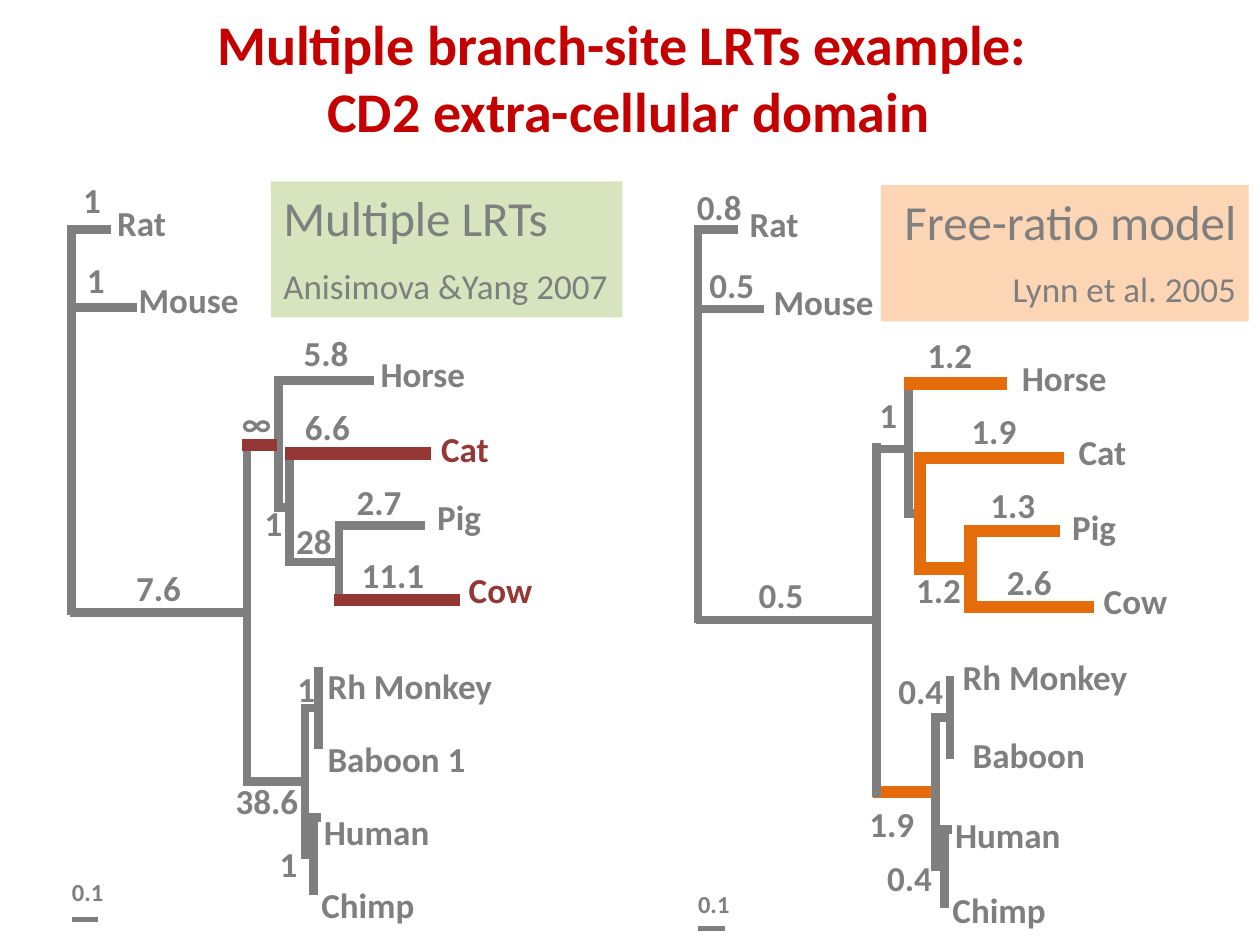
import pptx
import pptx.dml.color
import pptx.enum.shapes
import pptx.enum.text
import pptx.oxml
import pptx.util
from pptx.util import Inches

GRAY, RED, ORANGE = "7F7F7F", "953735", "E46C0A"
ALIGN = pptx.enum.text.PP_ALIGN

BRANCHES = {
    "root": (0, 0, 0, 3.03),
    "Rat": (0, 0, 0.28, 0),
    "Mouse": (0.02, 0.62, 0.48, 0.62),
    "mammals": (0.02, 3.04, 1.39, 3.04),
    "primates": (1.41, 4.38, 1.83, 4.38),
    "mammal split": (1.39, 1.7, 1.39, 4.38),
    "ungulates": (1.4, 1.71, 1.58, 1.71),
    "ungulate split": (1.64, 1.2, 1.64, 2.21),
    "Horse": (1.65, 1.2, 2.36, 1.2),
    "Cat to Cow": (1.64, 2.21, 1.73, 2.21),
    "Cat split": (1.73, 1.78, 1.73, 2.64),
    "Cat": (1.74, 1.78, 2.8, 1.78),
    "Pig to Cow": (1.73, 2.64, 2.12, 2.64),
    "Pig split": (2.12, 2.35, 2.12, 2.94),
    "Pig": (2.12, 2.35, 2.77, 2.35),
    "Cow": (2.13, 2.94, 3.03, 2.94),
    "primate split": (1.85, 3.8, 1.85, 4.96),
    "monkeys": (1.85, 3.8, 1.96, 3.8),
    "monkey split": (1.96, 3.51, 1.96, 4.09),
    "apes": (1.85, 4.96, 1.92, 4.96),
    "ape split": (1.92, 4.67, 1.92, 5.25),
    "Human": (1.92, 4.67, 1.94, 4.67),
}

LRT_TREE = {
    "stretch": 1, "accent": RED, "scale_y": (5.14, 5.48),
    "selected": ["ungulates", "Cat", "Cow"], "accent_species": ["Cat", "Cow"],
    "species": [
        ("Rat", 0.36, -0.22, 0.59), ("Mouse", 0.53, 0.39, 1.16),
        ("Horse", 2.45, 0.98, 1.09), ("Cat", 2.93, 1.57, 0.68),
        ("Pig", 2.9, 2.11, 0.39), ("Cow", 3.15, 2.69, 0.65),
        ("Rh Monkey", 2.03, 3.45, 1.87), ("Baboon 1", 2.03, 4.03, 1.2),
        ("Human", 2, 4.61, 1.22), ("Chimp", 1.98, 5.19, 2.05)],
    "ratios": [
        ("1", 0.09, -0.4), ("1", 0.12, 0.23), ("∞", 1.35, 1.37),
        ("5.8", 1.84, 0.81), ("6.6", 1.85, 1.4), ("1", 1.53, 2.16),
        ("28", 1.78, 2.3), ("2.7", 2.26, 1.99), ("11.1", 2.3, 2.57),
        ("7.6", 0.51, 2.68), ("1", 1.79, 3.48), ("38.6", 1.3, 4.37),
        ("1", 1.65, 4.87)],
}

FREE_RATIO_TREE = {
    "stretch": 1.02, "accent": ORANGE, "scale_y": (5.24, 5.55),
    "selected": ["Horse", "Cat split", "Cat", "Pig to Cow", "Pig split",
                 "Pig", "Cow", "primates"],
    "accent_species": [],
    "species": [
        ("Rat", 0.41, -0.21, 0.39), ("Mouse", 0.6, 0.41, 0.96),
        ("Horse", 2.57, 1.01, 0.72), ("Cat", 3.02, 1.6, 0.45),
        ("Pig", 2.97, 2.19, 0.4), ("Cow", 3.22, 2.78, 0.52),
        ("Rh Monkey", 2.1, 3.38, 1.58), ("Baboon", 2.18, 4, 0.9),
        ("Human", 2.04, 4.64, 1.06), ("Chimp", 2.02, 5.23, 1.07)],
    "ratios": [
        ("0.8", -0.01, -0.35), ("0.5", 0.09, 0.27), ("1", 1.44, 1.3),
        ("1.2", 1.82, 0.83), ("1.9", 2.17, 1.43), ("1.3", 2.32, 2.02),
        ("1.2", 1.73, 2.69), ("2.6", 2.45, 2.63), ("0.5", 0.48, 2.73),
        ("0.4", 1.59, 3.49), ("1.9", 1.36, 4.55), ("0.4", 1.5, 4.98)],
}


def rgb(color):
    """Turn a hex string into a colour."""
    return pptx.dml.color.RGBColor.from_string(color)


def write(paragraph, text, size, color, bold=True):
    """Add one formatted run to a paragraph."""
    run = paragraph.add_run()
    run.text = text
    run.font.name = "Calibri"
    run.font.size = pptx.util.Pt(size)
    run.font.bold = bold
    run.font.color.rgb = rgb(color)


def add_label(slide, text, left, top, width, height=0.34, size=20, color=GRAY, wrap=True):
    """Place a bold label without margins, which fits its text if it does not wrap."""
    box = slide.shapes.add_textbox(Inches(left), Inches(top), Inches(width), Inches(height))
    frame = box.text_frame
    frame.margin_left = frame.margin_right = frame.margin_top = frame.margin_bottom = 0
    frame.word_wrap = wrap
    if not wrap:
        frame.auto_size = pptx.enum.text.MSO_AUTO_SIZE.SHAPE_TO_FIT_TEXT
    write(frame.paragraphs[0], text, size, color)


def add_branch(slide, start_x, start_y, end_x, end_y, color=GRAY, width=5):
    """Draw one straight branch with square ends."""
    branch = slide.shapes.add_connector(
        pptx.enum.shapes.MSO_CONNECTOR.STRAIGHT,
        Inches(start_x), Inches(start_y), Inches(end_x), Inches(end_y))
    branch.line.color.rgb = rgb(color)
    branch.line.width = pptx.util.Pt(width)
    properties = branch._element.spPr
    properties.ln.set("cap", "sq")
    properties.append(pptx.oxml.parse_xml(
        '<a:effectLst xmlns:a="http://schemas.openxmlformats.org/drawingml/2006/main"/>'))


def add_tree(slide, left, top, tree):
    """Draw a tree whose root corner is at left, top, selected branches in front."""
    stretch = tree["stretch"]
    front = set(tree["selected"]) - {"primates"}
    for name in sorted(BRANCHES, key=lambda branch: branch in front):
        x1, y1, x2, y2 = (stretch * length for length in BRANCHES[name])
        color, width = (tree["accent"], 7) if name in tree["selected"] else (GRAY, 5)
        add_branch(slide, left + x1, top + y1, left + x2, top + y2, color, width)
    for name, x, y, width in tree["species"]:
        color = tree["accent"] if name in tree["accent_species"] else GRAY
        add_label(slide, name, left + x, top + y, width, color=color)
    for ratio, x, y in tree["ratios"]:
        width = sum({".": 0.08, "∞": 0.21}.get(symbol, 0.15) for symbol in ratio)
        add_label(slide, ratio, left + x, top + y, width, wrap=False)
    label_y, bar_y = tree["scale_y"]
    add_label(slide, "0.1", left, top + label_y, 0.28, 0.46, 14)
    add_branch(slide, left + 0.02, top + bar_y, left + 0.19, top + bar_y, width=3)


def add_box(slide, left, top, width, height):
    """Add a plain rectangle and return it."""
    box = slide.shapes.add_shape(
        pptx.enum.shapes.MSO_SHAPE.RECTANGLE,
        Inches(left), Inches(top), Inches(width), Inches(height))
    box.shadow.inherit = False
    box.text_frame.word_wrap = True
    return box


def add_method(slide, left, top, width, height, fill, align, method, citation):
    """Add a tinted panel with a method and its citation."""
    panel = add_box(slide, left, top, width, height)
    panel.fill.solid()
    panel.fill.fore_color.rgb = rgb(fill)
    panel.line.fill.background()
    frame = panel.text_frame
    frame.vertical_anchor = pptx.enum.text.MSO_ANCHOR.TOP
    heading, source = frame.paragraphs[0], frame.add_paragraph()
    heading.alignment = source.alignment = align
    source.space_before = pptx.util.Pt(10)
    write(heading, method, 28, GRAY, False)
    write(source, citation, 20, GRAY, False)


def add_title(slide, left, top, width, height):
    """Add the two-line slide title."""
    title = add_box(slide, left, top, width, height)
    title.fill.background()
    title.line.color.rgb = rgb("FFFFFF")
    title.line.width = pptx.util.Pt(0.75)
    frame = title.text_frame
    frame.vertical_anchor = pptx.enum.text.MSO_ANCHOR.MIDDLE
    lines = ["Multiple branch-site LRTs example: ", "CD2 extra-cellular domain"]
    for paragraph, line in zip([frame.paragraphs[0], frame.add_paragraph()], lines):
        paragraph.alignment = ALIGN.CENTER
        write(paragraph, line, 32, "C40000")


def main():
    """Build the slide and save it."""
    deck = pptx.Presentation()
    deck.slide_width, deck.slide_height = Inches(10), Inches(7.5)
    slide = deck.slides.add_slide(deck.slide_layouts[6])
    add_tree(slide, 0.57, 1.82, LRT_TREE)
    add_tree(slide, 5.54, 1.82, FREE_RATIO_TREE)
    add_method(slide, 6.99, 1.47, 2.92, 1.08, "FCD5B5", ALIGN.RIGHT,
               "Free-ratio model", "Lynn et al. 2005")
    add_method(slide, 2.15, 1.44, 2.79, 1.08, "D7E4BD", ALIGN.LEFT,
               "Multiple LRTs", "Anisimova &Yang 2007")
    add_title(slide, -0.01, 0, 10, 1.22)
    deck.save("out.pptx")


if __name__ == "__main__":
    main()
